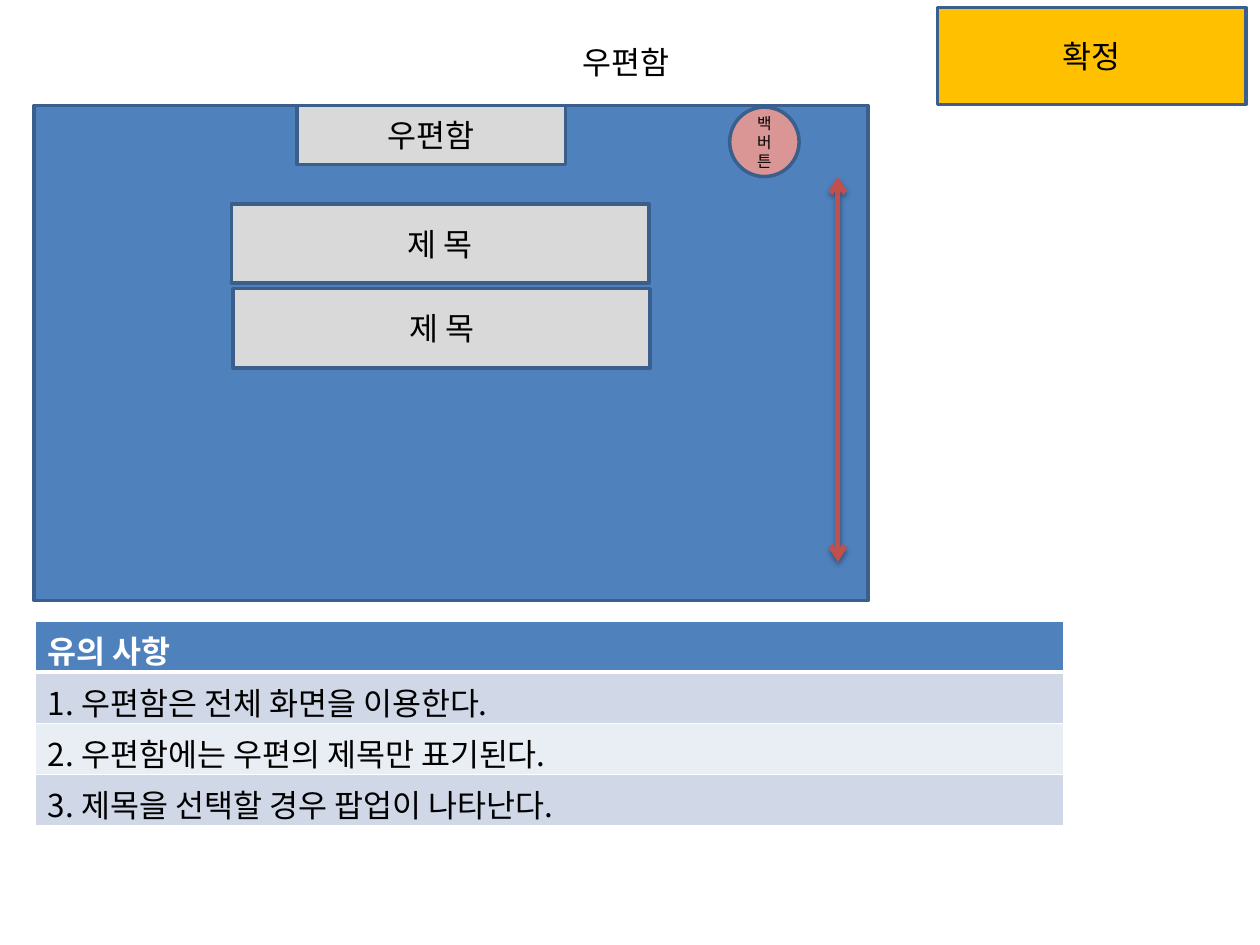
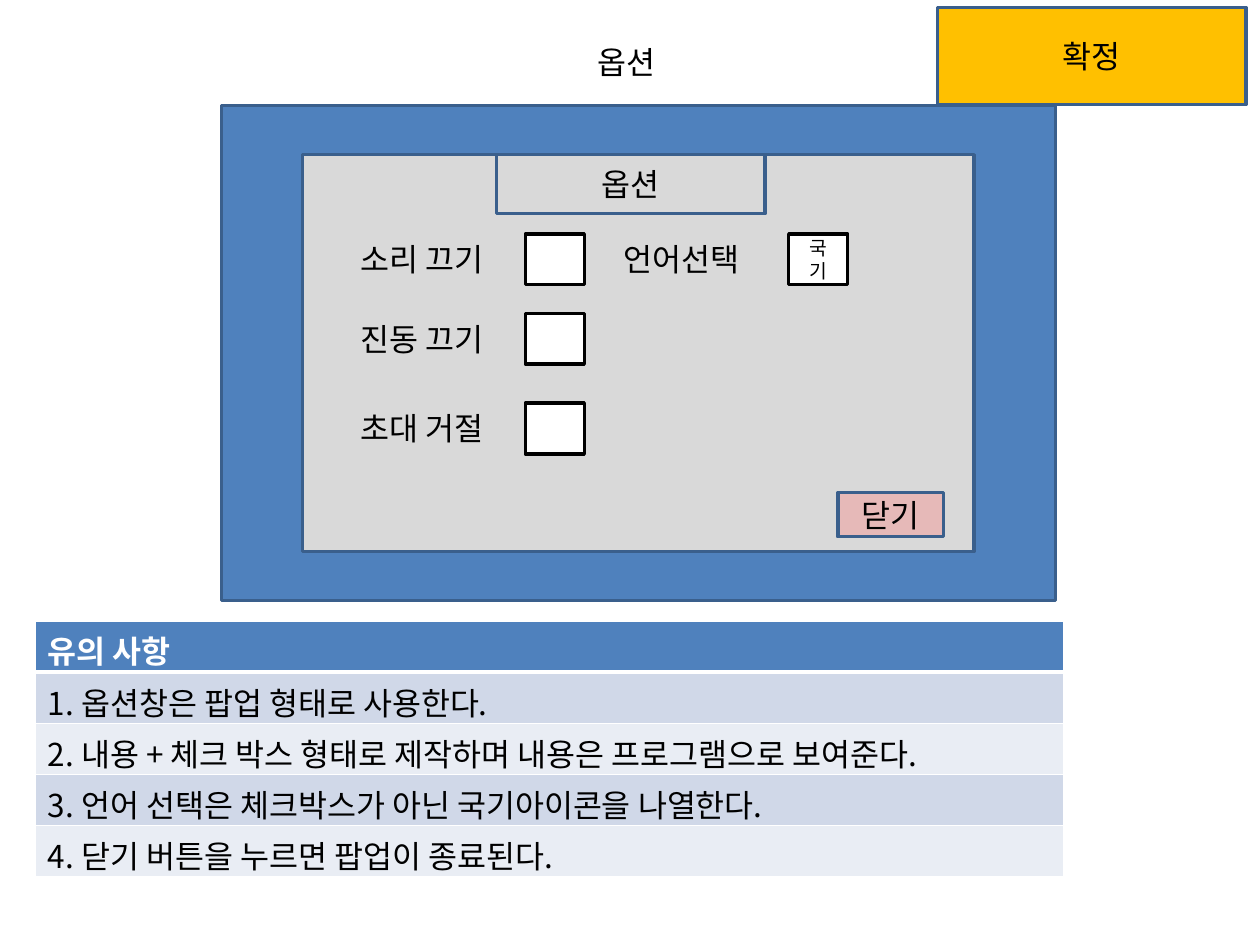
from dataclasses import dataclass

from lxml import etree
from pptx import Presentation
from pptx.dml.color import RGBColor
from pptx.enum.shapes import MSO_CONNECTOR, MSO_SHAPE
from pptx.enum.text import MSO_ANCHOR, MSO_AUTO_SIZE, PP_ALIGN
from pptx.oxml import parse_xml
from pptx.oxml.ns import qn
from pptx.presentation import Presentation as Deck
from pptx.slide import Slide
from pptx.text.text import TextFrame
from pptx.util import Cm, Pt

RECTANGLE = MSO_SHAPE.RECTANGLE
ELLIPSE = MSO_SHAPE.OVAL
STRAIGHT = MSO_CONNECTOR.STRAIGHT
MIDDLE = MSO_ANCHOR.MIDDLE
TOP = MSO_ANCHOR.TOP
CENTER = PP_ALIGN.CENTER
LEFT = PP_ALIGN.LEFT
GROW = MSO_AUTO_SIZE.SHAPE_TO_FIT_TEXT
TITLE_ONLY = 5
DRAWING = "http://schemas.openxmlformats.org/drawingml/2006/main"


@dataclass(frozen=True)
class Theme:
    font: str = "Noto Sans CJK KR"
    screen: str = "4F81BD"
    outline: str = "3A5F8C"
    panel: str = "D9D9D9"
    status: str = "FFC000"
    back: str = "D99694"
    close: str = "E6B9B8"
    arrow: str = "C0504D"
    black: str = "000000"
    white: str = "FFFFFF"
    bands: tuple[str, str] = ("D0D8E8", "E9EDF4")
    body_size: float = 18
    flag_size: float = 11
    back_size: float = 9
    outline_width: float = 2
    arrow_width: float = 3
    border_width: float = 1
    header_border_width: float = 3


THEME = Theme()


@dataclass(frozen=True)
class Box:
    """A filled preset shape, with lengths in centimetres."""
    left: float
    top: float
    width: float
    height: float
    fill: str = THEME.panel
    text: str = ""
    size: float = THEME.body_size
    outline: str = THEME.outline
    preset: MSO_SHAPE = RECTANGLE


@dataclass(frozen=True)
class Option:
    """A label with a check box to its right, with lengths in centimetres."""
    label: str
    left: float
    top: float
    label_width: float
    check_left: float
    mark: str = ""


SCREEN_TOP, SCREEN_WIDTH, SCREEN_HEIGHT = 2.13, 16.81, 9.98
TAB_WIDTH, TAB_HEIGHT = 5.41, 1.19
TEXT_HEIGHT = 1.02
CHECK_WIDTH = 1.19
ROW_HEIGHT = 1.03
STATUS = Box(18.9, 0.15, 6.22, 1.96, THEME.status, "확정")


def screen(left: float) -> Box:
    return Box(left, SCREEN_TOP, SCREEN_WIDTH, SCREEN_HEIGHT, THEME.screen)


def tab(left: float, top: float, text: str) -> Box:
    return Box(left, top, TAB_WIDTH, TAB_HEIGHT, text=text)


def mail_row(left: float, top: float) -> Box:
    return Box(left, top, 8.41, 1.6, text="제 목")


MAIL_BOXES = (
    screen(0.69),
    tab(5.99, SCREEN_TOP, "우편함"),
    mail_row(4.67, 4.11),
    mail_row(4.7, 5.82),
    Box(14.71, 2.16, 1.4, 1.4, THEME.back, "백버튼", THEME.back_size, preset=ELLIPSE),
)
MAIL_NOTES = (
    "우편함은 전체 화면을 이용한다.",
    "우편함에는 우편의 제목만 표기된다.",
    "제목을 선택할 경우 팝업이 나타난다.",
)
OPTION_BOXES = (
    screen(4.47),
    Box(6.1, 3.12, 13.54, 8),
    tab(10.01, 3.12, "옵션"),
    Box(16.89, 9.93, 2.13, 0.89, THEME.close, "닫기"),
)
OPTIONS = (
    *(Option(label, 7.01, top, 3.3, 10.59)
      for label, top in (("소리 끄기", 4.72), ("진동 끄기", 6.32), ("초대 거절", 8.13))),
    Option("언어선택", 12.32, 4.72, 3.07, 15.9, "국기"),
)
OPTION_NOTES = (
    "옵션창은 팝업 형태로 사용한다.",
    "내용 + 체크 박스 형태로 제작하며 내용은 프로그램으로 보여준다.",
    "언어 선택은 체크박스가 아닌 국기아이콘을 나열한다.",
    "닫기 버튼을 누르면 팝업이 종료된다.",
)


def color(value: str) -> RGBColor:
    return RGBColor.from_string(value)


def write(frame: TextFrame, text: str, size: float = THEME.body_size,
          ink: str = THEME.black, bold: bool = False,
          alignment: PP_ALIGN = LEFT) -> None:
    paragraph = frame.paragraphs[0]
    paragraph.alignment = alignment
    run = paragraph.add_run()
    run.text = text
    run.font.name = THEME.font
    run.font.size = Pt(size)
    run.font.bold = bold
    run.font.color.rgb = color(ink)
    east_asian = etree.SubElement(run.font._element, qn("a:ea"))
    east_asian.set("typeface", THEME.font)


def fit_on_one_line(frame: TextFrame) -> None:
    frame.word_wrap = False
    frame.auto_size = GROW
    frame.vertical_anchor = TOP


def add_box(slide: Slide, box: Box) -> None:
    shape = slide.shapes.add_shape(
        box.preset, Cm(box.left), Cm(box.top), Cm(box.width), Cm(box.height))
    shape.shadow.inherit = False
    shape.fill.solid()
    shape.fill.fore_color.rgb = color(box.fill)
    shape.line.color.rgb = color(box.outline)
    shape.line.width = Pt(THEME.outline_width)
    if box.text:
        shape.text_frame.word_wrap = True
        shape.text_frame.vertical_anchor = MIDDLE
        write(shape.text_frame, box.text, box.size, alignment=CENTER)


def add_option(slide: Slide, option: Option) -> None:
    label = slide.shapes.add_textbox(
        Cm(option.left), Cm(option.top), Cm(option.label_width), Cm(TEXT_HEIGHT))
    fit_on_one_line(label.text_frame)
    write(label.text_frame, option.label)
    add_box(slide, Box(option.check_left, option.top, CHECK_WIDTH, TEXT_HEIGHT,
                       THEME.white, option.mark, THEME.flag_size, THEME.black))


def add_scroll_arrow(slide: Slide, x: float, top: float, bottom: float) -> None:
    """Draw a vertical double-headed arrow with a soft shadow."""
    arrow = slide.shapes.add_connector(STRAIGHT, Cm(x), Cm(top), Cm(x), Cm(bottom))
    arrow.line.color.rgb = color(THEME.arrow)
    arrow.line.width = Pt(THEME.arrow_width)
    properties = arrow._element.spPr
    line = properties.find(qn("a:ln"))
    for end in ("a:headEnd", "a:tailEnd"):
        etree.SubElement(line, qn(end)).set("type", "arrow")
    properties.append(parse_xml(
        f'<a:effectLst xmlns:a="{DRAWING}">'
        f'<a:outerShdw blurRad="{Pt(3.1)}" dist="{Pt(1.8)}" dir="5400000" rotWithShape="0">'
        f'<a:srgbClr val="{THEME.black}"><a:alpha val="35000"/></a:srgbClr>'
        '</a:outerShdw></a:effectLst>'))


def add_notes_table(slide: Slide, notes: tuple[str, ...]) -> None:
    lines = ["유의 사항"] + [f"{number}. {note}" for number, note in enumerate(notes, 1)]
    table = slide.shapes.add_table(
        len(lines), 1, Cm(0.71), Cm(12.52), Cm(20.73), Cm(ROW_HEIGHT * len(lines))).table
    table.first_row = True
    table.horz_banding = False
    for index, text in enumerate(lines):
        is_header = index == 0
        cell = table.cell(index, 0)
        cell.margin_bottom = 0
        widths = dict.fromkeys("LRTB", THEME.border_width)
        if index < 2:
            widths["B" if is_header else "T"] = THEME.header_border_width
        for side, width in widths.items():
            cell._tc.get_or_add_tcPr().append(parse_xml(
                f'<a:ln{side} xmlns:a="{DRAWING}" w="{Pt(width)}"><a:solidFill>'
                f'<a:srgbClr val="{THEME.white}"/></a:solidFill></a:ln{side}>'))
        cell.fill.solid()
        cell.fill.fore_color.rgb = color(
            THEME.screen if is_header else THEME.bands[(index - 1) % 2])
        write(cell.text_frame, text, bold=is_header,
              ink=THEME.white if is_header else THEME.black)


def add_screen_slide(presentation: Deck, title: str, title_width: float,
                     boxes: tuple[Box, ...], notes: tuple[str, ...]) -> Slide:
    slide = presentation.slides.add_slide(presentation.slide_layouts[TITLE_ONLY])
    placeholder = slide.shapes.title
    placeholder.left = (presentation.slide_width - Cm(title_width)) // 2
    placeholder.top = Cm(0.74)
    placeholder.width, placeholder.height = Cm(title_width), Cm(TEXT_HEIGHT)
    fit_on_one_line(placeholder.text_frame)
    write(placeholder.text_frame, title)
    for box in (*boxes, STATUS):
        add_box(slide, box)
    add_notes_table(slide, notes)
    return slide


def main() -> None:
    presentation = Presentation()
    presentation.slide_width, presentation.slide_height = Cm(25.4), Cm(19.05)
    mail_slide = add_screen_slide(presentation, "우편함", 2.44, MAIL_BOXES, MAIL_NOTES)
    add_scroll_arrow(mail_slide, 16.89, 3.56, 11.33)
    option_slide = add_screen_slide(presentation, "옵션", 1.8, OPTION_BOXES, OPTION_NOTES)
    for option in OPTIONS:
        add_option(option_slide, option)
    presentation.save("out.pptx")


if __name__ == "__main__":
    main()
